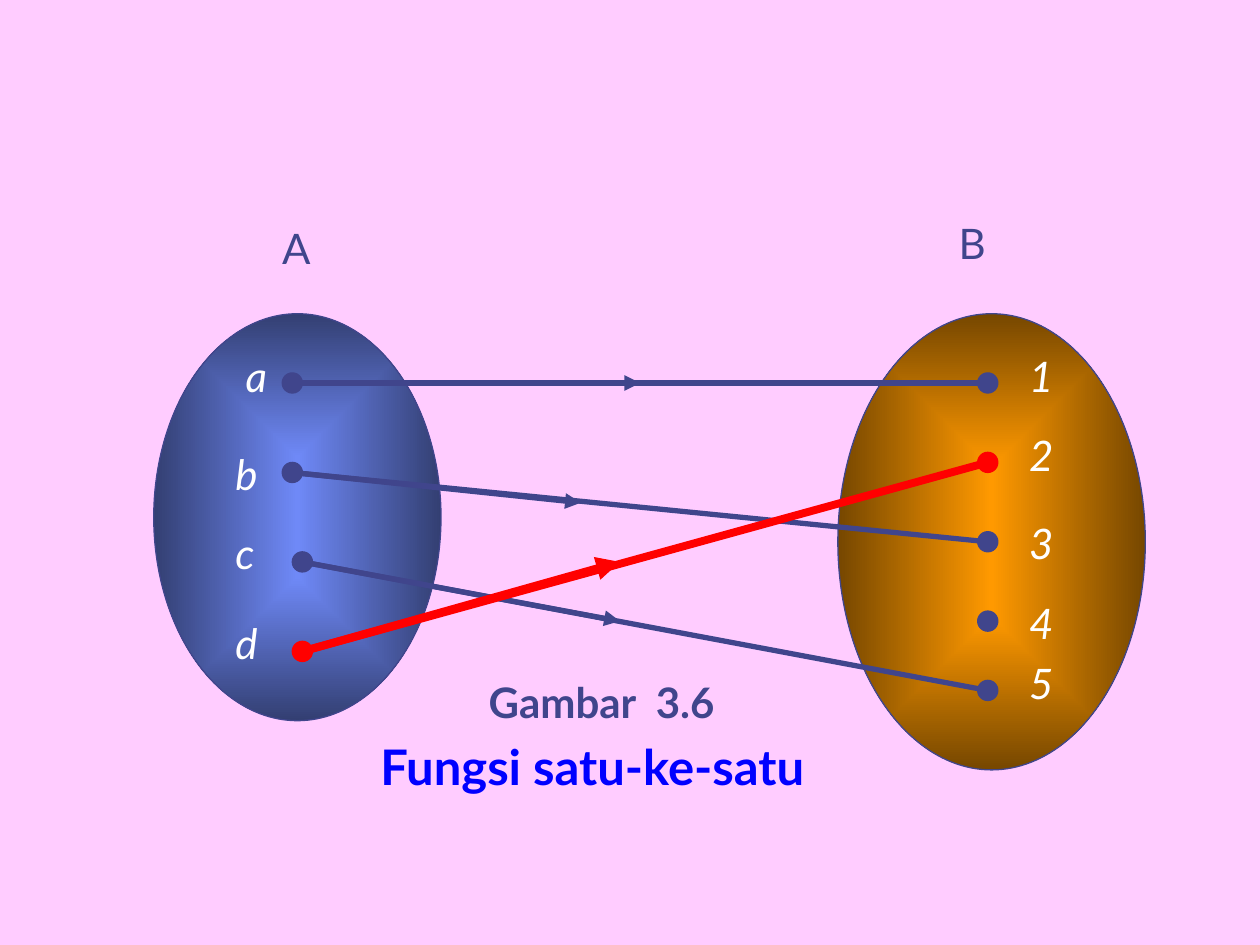
from dataclasses import dataclass

from lxml import etree
from pptx import Presentation
from pptx.dml.color import RGBColor as RGB
from pptx.enum.shapes import MSO_CONNECTOR as CONN, MSO_SHAPE as SHAPE
from pptx.enum.text import MSO_AUTO_SIZE as AUTO
from pptx.oxml.ns import qn
from pptx.util import Inches, Pt


@dataclass(frozen=True)
class Theme:
    font: str = "Lato"
    background: str = "FFCCFF"
    ink: str = "40458C"
    accent: str = "FF0000"
    caption: str = "0000FF"
    label: str = "FFFFFF"
    domain: tuple = ("6F89F7", "333F72")
    codomain: tuple = ("FF9900", "764700")
    body_size: int = 24
    caption_size: int = 28
    outline: float = 0.75
    arrow: float = 3
    strong_arrow: float = 4.5
    dot: float = 0.16


class Diagram:
    def __init__(self, slide, theme):
        self.slide = slide
        self.theme = theme
        fill = slide.background.fill
        fill.solid()
        fill.fore_color.rgb = RGB.from_string(theme.background)

    def ellipse(self, x, y, w, h, line):
        sp = self.slide.shapes.add_shape(
            SHAPE.OVAL, Inches(x), Inches(y), Inches(w), Inches(h))
        sp.shadow.inherit = False
        sp.line.color.rgb = RGB.from_string(line)
        sp.line.width = Pt(self.theme.outline)
        return sp

    def set_oval(self, x, y, w, h, colors):
        """Oval shaded from its centre to its rim."""
        sp = self.ellipse(x, y, w, h, self.theme.ink)
        sp.fill.gradient()
        for stop, color, position in zip(sp.fill.gradient_stops, colors, (0, 1)):
            stop.color.rgb = RGB.from_string(color)
            stop.position = position
        grad = sp._element.spPr.find(qn("a:gradFill"))
        grad.remove(grad.find(qn("a:lin")))
        shade = etree.SubElement(grad, qn("a:path"), path="rect")
        center = {side: "50000" for side in "ltrb"}
        etree.SubElement(shade, qn("a:fillToRect"), center)

    def dot(self, center, color):
        d = self.theme.dot
        sp = self.ellipse(center[0] - d / 2, center[1] - d / 2, d, d, color)
        sp.fill.solid()
        sp.fill.fore_color.rgb = RGB.from_string(color)

    def line(self, start, end, color, width, head=False):
        cx = self.slide.shapes.add_connector(
            CONN.STRAIGHT, *(Inches(v) for v in (*start, *end)))
        cx.line.color.rgb = RGB.from_string(color)
        cx.line.width = Pt(width)
        if head:
            etree.SubElement(cx.line._get_or_add_ln(), qn("a:tailEnd"), type="triangle")
        etree.SubElement(cx._element.spPr, qn("a:effectLst"))

    def mapping(self, start, end, tip, color, width):
        """Full line plus an arrowhead part of the way along it."""
        self.line(start, end, color, width)
        self.line(start, tip, color, width, head=True)

    def text(self, text, x, y, w, color, h=0.5, size=None, bold=False, italic=False):
        box = self.slide.shapes.add_textbox(Inches(x), Inches(y), Inches(w), Inches(h))
        tf = box.text_frame
        tf.text = text
        tf.word_wrap = False
        tf.auto_size = AUTO.SHAPE_TO_FIT_TEXT
        font = tf.paragraphs[0].runs[0].font
        font.name = self.theme.font
        font.size = Pt(size or self.theme.body_size)
        font.bold = bold
        font.italic = italic
        font.color.rgb = RGB.from_string(color)


def main():
    prs = Presentation()
    prs.slide_width, prs.slide_height = Inches(10), Inches(7.5)
    theme = Theme()
    d = Diagram(prs.slides.add_slide(prs.slide_layouts[6]), theme)

    # Element: dot centre, then left, top and width of its label
    domain = {
        "a": ((2.32, 3.04), 1.85, 2.73, 0.39),
        "b": ((2.32, 3.75), 1.77, 3.51, 0.39),
        "c": ((2.4, 4.46), 1.77, 4.14, 0.35),
        "d": ((2.4, 5.17), 1.77, 4.85, 0.39),
    }
    rows = [(3.04, 2.73), (3.67, 3.36), (4.3, 4.06), (4.93, 4.69), (5.48, 5.17)]
    codomain = {str(n): ((7.84, dot_y), 8.07, label_y, 0.38)
                for n, (dot_y, label_y) in enumerate(rows, 1)}
    elements = {**domain, **codomain}
    highlighted = ("d", "2")

    # The two sets and their names
    d.set_oval(1.22, 2.49, 2.28, 3.23, theme.domain)
    d.set_oval(6.65, 2.49, 2.44, 3.62, theme.codomain)
    d.text("A", 2.14, 1.72, 0.41, theme.ink)
    d.text("B", 7.51, 1.68, 0.41, theme.ink)

    # Elements
    for name, (center, x, y, w) in elements.items():
        d.dot(center, theme.accent if name in highlighted else theme.ink)
        d.text(name, x, y, w, theme.label, italic=True)

    # Mappings, with the place of each arrowhead
    for source, target, tip in (("a", "1", (5.08, 3.04)), ("b", "3", (4.61, 3.99)),
                                ("c", "5", (4.92, 4.93)), ("d", "2", (4.92, 4.46))):
        strong = source in highlighted
        d.mapping(elements[source][0], elements[target][0], tip,
                  theme.accent if strong else theme.ink,
                  theme.strong_arrow if strong else theme.arrow)

    # Caption
    d.text("Gambar  3.6", 3.78, 5.32, 2.27, theme.ink, bold=True)
    d.text("Fungsi satu-ke-satu", 2.92, 5.8, 4, theme.caption, h=0.57,
           size=theme.caption_size, bold=True)

    prs.save("out.pptx")


if __name__ == "__main__":
    main()
